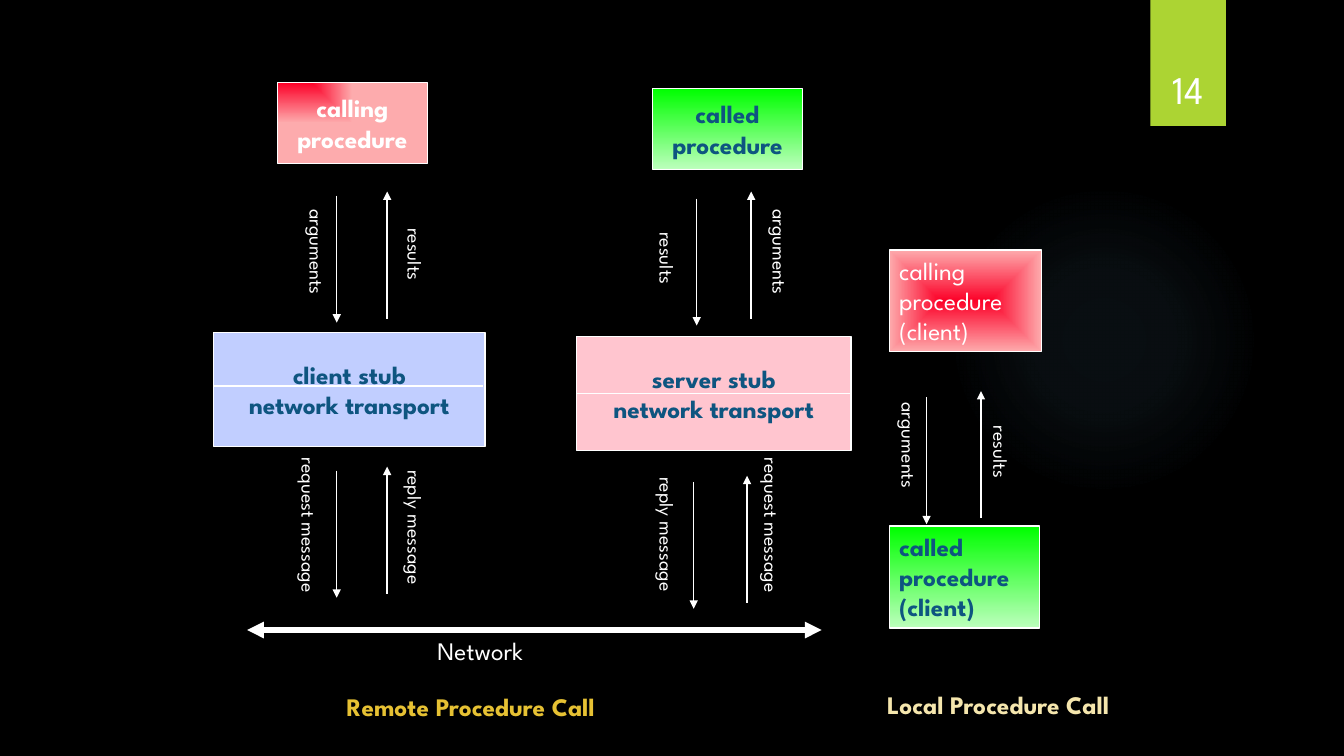
from lxml import etree
from pptx import Presentation
from pptx import util as u
from pptx.dml.color import RGBColor
from pptx.enum import shapes, text
from pptx.oxml import parse_xml
from pptx.oxml.ns import nsdecls, qn

INK = {
    "black": "000000", "white": "FFFFFF", "lime": "ACD433", "navy": "0E5580",
    "red": "FC0128", "rose": "FDABAD", "green": "00FF00", "mint": "BCFFBC",
    "blue": "C1CEFF", "pink": "FFC5CF", "gold": "E6C133", "cream": "F5E6AD",
    "glow": "7AC4F0",
}
FONT = "League Spartan"
CENTER = text.PP_ALIGN.CENTER
MIDDLE = text.MSO_ANCHOR.MIDDLE
BOTTOM = text.MSO_ANCHOR.BOTTOM
FIT = text.MSO_AUTO_SIZE.SHAPE_TO_FIT_TEXT

RED = [(0, "red", 100), (100, "rose", 100)]
GREEN = [(0, "green", 100), (100, "mint", 100)]
GLOW = [(0, "glow", 7), (36, "glow", 6), (69, "glow", 0)]
DOWN = '<a:lin ang="5400000" scaled="1"/>'


def focus(kind, *sides):
    """Gradient that spreads from a focus, given as left, top, right, bottom percent."""
    edges = " ".join(f'{side}="{pct * 1000}"' for side, pct in zip("ltrb", sides))
    return f'<a:path path="{kind}"><a:fillToRect {edges}/></a:path>'


def rgb(name):
    return RGBColor.from_string(INK[name])


def blend(shape, stops, course):
    """Fill a shape with a gradient of (position, colour, opacity) stops."""
    marks = "".join(
        f'<a:gs pos="{pos * 1000}"><a:srgbClr val="{INK[name]}">'
        f'<a:alpha val="{alpha * 1000}"/></a:srgbClr></a:gs>'
        for pos, name, alpha in stops)
    shape.fill.background()
    props = shape._element.spPr
    props.replace(props.find(qn("a:noFill")), parse_xml(
        f'<a:gradFill {nsdecls("a")} rotWithShape="1">'
        f'<a:gsLst>{marks}</a:gsLst>{course}</a:gradFill>'))


def write(shape, lines, size=18, color="white", bold=False, align=None, **frame):
    body = shape.text_frame
    for key, val in {"word_wrap": False, **frame}.items():
        setattr(body, key, val)
    body.text = "\n".join(lines)
    look = {"name": FONT, "size": u.Pt(size), "bold": bold}
    for para in body.paragraphs:
        para.alignment = align or text.PP_ALIGN.LEFT
        for run in para.runs:
            for key, val in look.items():
                setattr(run.font, key, val)
            run.font.color.rgb = rgb(color)


def block(slide, place, fill, course=None, kind=shapes.MSO_SHAPE.RECTANGLE, edge=True):
    shape = slide.shapes.add_shape(kind, *map(u.Inches, place))
    shape.shadow.inherit = False
    if course:
        blend(shape, fill, course)
    else:
        shape.fill.solid()
        shape.fill.fore_color.rgb = rgb(fill)
    if edge:
        shape.line.color.rgb = rgb("white")
        shape.line.width = u.Pt(1)
    else:
        shape.line.fill.background()
    return shape


def label(slide, place, words, turn=0, **look):
    box = slide.shapes.add_textbox(*map(u.Inches, place))
    box.rotation = turn
    write(box, [words], **look)


def line(slide, start, end, width=1, heads=()):
    """Line with arrowheads at the named ends: headEnd is the start, tailEnd the end."""
    link = slide.shapes.add_connector(
        shapes.MSO_CONNECTOR.STRAIGHT, *map(u.Inches, (*start, *end)))
    link.line.color.rgb = rgb("white")
    link.line.width = u.Pt(width)
    stroke = link.line._get_or_add_ln()
    for head in heads:
        etree.SubElement(stroke, qn(f"a:{head}"), type="triangle")
    etree.SubElement(link._element.spPr, qn("a:effectLst"))
    return link


def badge(slide):
    block(slide, (9.41, 1.83, 3.08, 3.08), GLOW, focus("circle", 50, 50, 50, 50),
          shapes.MSO_SHAPE.OVAL, edge=False)
    tab = block(slide, (11.41, 0, 0.75, 1.25), "lime", edge=False)
    shade = etree.SubElement(
        tab._element.spPr.find(qn("a:effectLst")), qn("a:outerShdw"),
        blurRad=str(u.Pt(3)), dist=str(u.Pt(2)), dir="5400000", rotWithShape="0")
    tint = etree.SubElement(shade, qn("a:srgbClr"), val=INK["black"])
    etree.SubElement(tint, qn("a:alpha"), val="45000")
    label(slide, (11.32, 0.32, 0.92, 0.84), "14", size=28, align=CENTER,
          vertical_anchor=BOTTOM, word_wrap=True)


def calls(slide):
    """Calling and called procedures of both diagrams."""
    mid = {"align": CENTER, "vertical_anchor": MIDDLE, "bold": True}
    top = {"vertical_anchor": text.MSO_ANCHOR.TOP, "auto_size": FIT}
    lines = ["procedure", "(client)"]
    core, corner = focus("shape", 50, 50, 50, 50), focus("rect", 0, 0, 100, 100)
    for place, fill, course, words, look in (
        ((8.82, 2.48, 1.51, 1.01), RED, core, ["calling", *lines], top),
        ((8.82, 5.22, 1.49, 1.01), GREEN, DOWN, ["called", *lines],
         {**top, "color": "navy", "bold": True}),
        ((2.75, 0.82, 1.49, 0.8), RED, corner, ["calling", "procedure"], mid),
        ((6.47, 0.88, 1.49, 0.8), GREEN, DOWN, ["called", "procedure"],
         {**mid, "color": "navy"}),
    ):
        write(block(slide, place, fill, course), words, **look)


def stubs(slide):
    look = {"color": "navy", "bold": True, "align": CENTER, "vertical_anchor": MIDDLE}
    client = block(slide, (2.12, 3.3, 2.69, 1.13), "blue")
    server = block(slide, (5.72, 3.34, 2.72, 1.13), "pink")
    for stub, name in ((client, "client stub"), (server, "server stub")):
        write(stub, [name, "network transport"], **look)
    line(slide, (2.12, 3.83), (4.79, 3.83))
    split = line(slide, (5.72, 3.9), (8.44, 3.9))
    split.begin_connect(server, 1)
    split.end_connect(server, 3)


def flows(slide):
    """Arrows 1.26 long, given by x and top, and their upright labels."""
    span = 1.26
    for x, top in ((9.19, 3.94), (3.34, 1.94), (3.34, 4.67), (6.91, 1.97), (6.88, 4.78)):
        line(slide, (x, top), (x, top + span), heads=["tailEnd"])
    for x, top in ((9.73, 3.88), (3.84, 1.9), (7.45, 1.9), (7.41, 4.72), (3.84, 4.63)):
        line(slide, (x, top + span), (x, top), heads=["tailEnd"])
    line(slide, (2.45, 6.25), (8.15, 6.25), 4, ["headEnd", "tailEnd"])

    wide = {"results": 0.76, "arguments": 1.22,
            "reply message": 1.58, "request message": 1.82}
    for words, left, top in (
        ("results", 9.55, 4.34), ("arguments", 8.41, 4.34),
        ("results", 6.24, 2.42), ("arguments", 2.54, 2.42),
        ("results", 3.74, 2.38), ("arguments", 7.13, 2.42),
        ("request message", 2.16, 5.19), ("reply message", 3.33, 5.19),
        ("reply message", 5.83, 5.26), ("request message", 6.75, 5.19),
    ):
        label(slide, (left, top, wide[words], 0.33), words, 90, size=14, auto_size=FIT)


def titles(slide):
    label(slide, (4.24, 6.25, 1.21, 0.4), "Network", auto_size=FIT)
    for place, words, color, wrap in (
        ((8.7, 6.79, 2.77, 0.4), "Local Procedure Call", "cream", True),
        ((3.34, 6.81, 3.03, 0.4), "Remote Procedure Call", "gold", False),
    ):
        label(slide, place, words, color=color, bold=True, auto_size=FIT, word_wrap=wrap)


def main():
    deck = Presentation()
    deck.slide_width, deck.slide_height = u.Inches(13.33), u.Inches(7.5)
    slide = deck.slides.add_slide(deck.slide_layouts[6])
    slide.background.fill.solid()
    slide.background.fill.fore_color.rgb = rgb("black")
    for part in (badge, calls, stubs, flows, titles):
        part(slide)
    deck.save("out.pptx")


if __name__ == "__main__":
    main()
